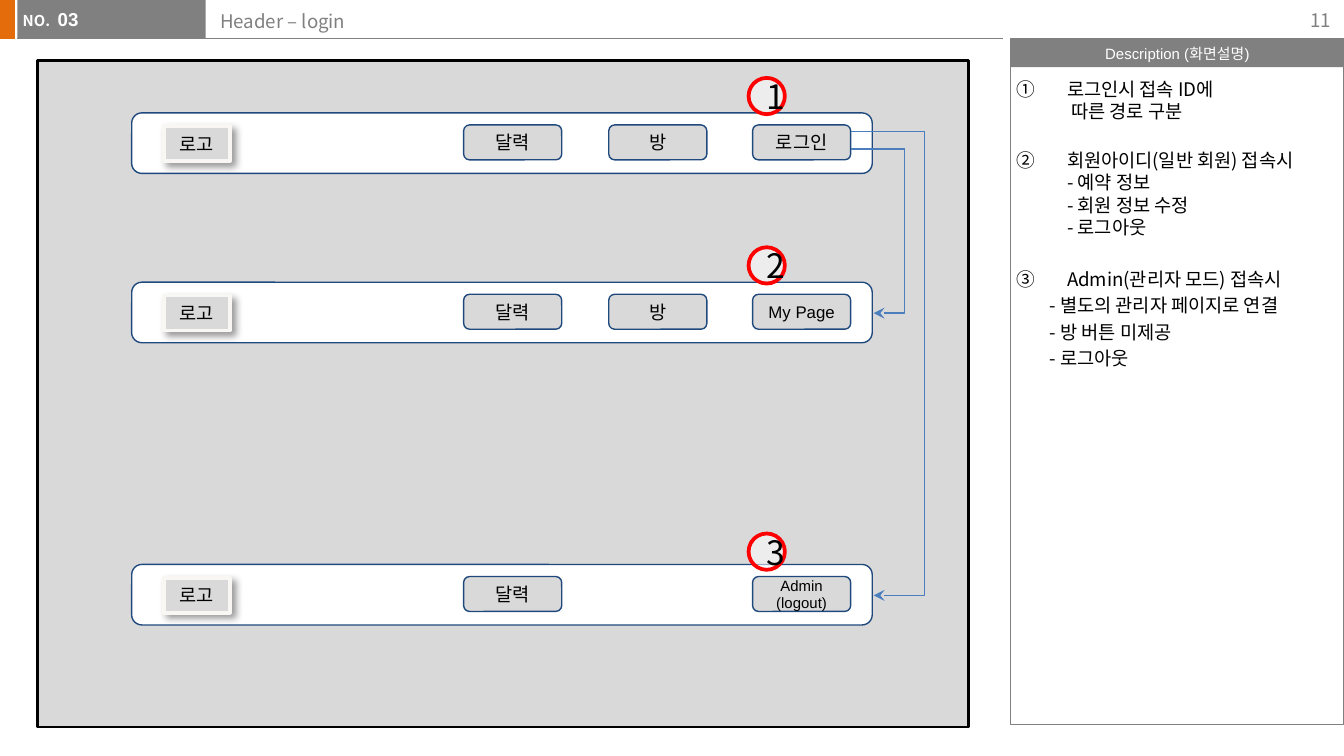
from lxml.etree import SubElement
from pptx import Presentation
from pptx.dml.color import RGBColor
from pptx.enum.shapes import MSO_CONNECTOR as CONNECTOR, MSO_SHAPE as SHAPE
from pptx.enum.text import MSO_ANCHOR as ANCHOR, PP_ALIGN as ALIGN
from pptx.oxml.ns import qn
from pptx.util import Inches, Pt

COLORS = {
    "accent": "E46C0A", "gray": "808080", "panel": "D9D9D9", "white": "FFFFFF",
    "black": "000000", "navy": "1F497D", "arrow": "4B7EBC", "red": "FF0000",
    "bevel": "F8F7F3",
}
SANS, KOREAN = "Arial", "Noto Sans CJK KR"


def color(name):
    """Return the named palette colour."""
    return RGBColor.from_string(COLORS[name])


def style_para(para, size, font=SANS, ink="black", bold=False, align=ALIGN.LEFT):
    """Set the alignment and font of a paragraph."""
    para.alignment = align
    para.font.size, para.font.name, para.font.bold = Pt(size), font, bold
    para.font.color.rgb = color(ink)
    defaults = para._p.pPr.find(qn("a:defRPr"))
    SubElement(defaults, qn("a:ea")).set("typeface", KOREAN)


def set_frame(frame, insets=(0.1, 0.05, 0.1, 0.05), anchor=ANCHOR.MIDDLE, wrap=True):
    """Set the insets, anchor and wrapping of a text frame."""
    (frame.margin_left, frame.margin_top,
     frame.margin_right, frame.margin_bottom) = map(Inches, insets)
    frame.vertical_anchor, frame.word_wrap = anchor, wrap


def write(box, text, size, font=SANS, ink="black", bold=False, align=ALIGN.CENTER, **frame):
    """Write one paragraph per line of text into a box."""
    set_frame(box.text_frame, **frame)
    box.text_frame.text = text
    for para in box.text_frame.paragraphs:
        style_para(para, size, font, ink, bold, align)


def add_text(page, area, text, size, **style):
    """Add a text box with uniform text."""
    box = page.shapes.add_textbox(*map(Inches, area))
    write(box, text, size, **style)


def add_box(page, area, fill=None, line=None, width=0.75, kind=SHAPE.RECTANGLE):
    """Add a preset shape without shadow."""
    box = page.shapes.add_shape(kind, *map(Inches, area))
    box.shadow.inherit = False
    if fill:
        box.fill.solid()
        box.fill.fore_color.rgb = color(fill)
    else:
        box.fill.background()
    if line:
        box.line.color.rgb = color(line)
        box.line.width = Pt(width)
    else:
        box.line.fill.background()
    return box


def add_line(page, start, end, ink="arrow", width=0.75, kind=CONNECTOR.STRAIGHT):
    """Add a connector without shadow."""
    line = page.shapes.add_connector(kind, *map(Inches, (*start, *end)))
    line.line.color.rgb = color(ink)
    line.line.width = Pt(width)
    SubElement(line._element.spPr, qn("a:effectLst"))
    return line


def add_route(page, button_right, bar_right, turn, top, bottom):
    """Lead from a button out to the turn, down and back to a bar."""
    drop, back = bottom - top, turn - bar_right
    middle_x, middle_y = (turn + bar_right) / 2, (top + bottom) / 2
    arrow = add_line(page, (middle_x - drop / 2, middle_y - back / 2),
                     (middle_x + drop / 2, middle_y + back / 2), kind=CONNECTOR.ELBOW)
    properties = arrow._element.spPr
    properties.find(qn("a:xfrm")).set("rot", "5400000")
    properties.find(qn("a:prstGeom")).set("prst", "bentConnector2")
    SubElement(properties.find(qn("a:ln")), qn("a:tailEnd")).set("type", "stealth")
    add_line(page, (turn, top), (button_right, top))


def add_logo(page, area):
    """Add the raised logo button."""
    logo = add_box(page, area, "panel", "bevel", 2)
    write(logo, "로고", 10, font=KOREAN)
    effects = logo._element.spPr.find(qn("a:effectLst"))
    shadow = SubElement(effects, qn("a:outerShdw"), blurRad=str(Pt(4)), dist=str(Pt(3)),
                        dir="2700000", algn="tl", rotWithShape="0")
    shade = SubElement(shadow, qn("a:srgbClr"), val=COLORS["black"])
    SubElement(shade, qn("a:alpha"), val="40000")


def add_menu_bar(page, left, top, buttons):
    """Add a menu bar with its logo and its (offset, label, size) buttons."""
    add_box(page, (left, top, 5.51, 0.45), "white", "navy", kind=SHAPE.ROUNDED_RECTANGLE)
    for offset, label, size in buttons:
        button = add_box(page, (left + offset, top + 0.09, 0.73, 0.26), "panel", "navy",
                         kind=SHAPE.ROUNDED_RECTANGLE)
        write(button, label, size, insets=(0.1,) * 4)
    add_logo(page, (left + 0.24, top + 0.1, 0.49, 0.26))


def add_badge(page, left, top, number):
    """Add a numbered red ring."""
    badge = add_box(page, (left, top, 0.27, 0.27), "white", "red", 2, SHAPE.OVAL)
    tint = badge._element.spPr.find(qn("a:solidFill"))[0]
    SubElement(tint, qn("a:alpha"), val="55000")
    write(badge, str(number), 18, font=KOREAN)


def add_header(page, height):
    """Add the header strip with number, title and page number."""
    add_box(page, (-0.01, 0, 0.12, height), "accent")
    add_line(page, (0.13, height), (7.46, height), "gray", 0.5)
    add_box(page, (0.13, 0, 1.4, height), "gray")
    add_text(page, (0.07, 0.03, 0.41, 0.24), "NO.", 8, font=KOREAN, ink="white",
             bold=True, align=ALIGN.LEFT, wrap=False)
    add_text(page, (0.43, 0.01, 1.1, 0.31), "03", 10, ink="white", bold=True,
             align=ALIGN.LEFT, insets=(0, 0.05, 0, 0.05), anchor=ANCHOR.TOP)
    title = page.shapes.title
    title.left, title.top, title.width, title.height = map(Inches, (1.54, 0.02, 5.91, 0.32))
    write(title, "Header – login", 10, font=KOREAN, ink="gray", align=ALIGN.LEFT,
          anchor=ANCHOR.TOP)
    add_text(page, (9.4, 0, 0.6, 0.3), "11", 10, font=KOREAN, ink="gray", align=ALIGN.RIGHT)


def add_description(page, left, top, width, height):
    """Add the description panel with its numbered notes."""
    heading = add_box(page, (left, top, width, 0.21), "gray")
    write(heading, "Description (화면설명)", 8, ink="white", wrap=False)
    add_box(page, (left, top, width, height), line="gray")
    notes = [
        ("로그인시 접속 ID에\n 따른 경로 구분", True, 0),
        ("회원아이디(일반 회원) 접속시\n- 예약 정보\n- 회원 정보 수정\n- 로그아웃", True, 14),
        ("Admin(관리자 모드) 접속시", True, 16),
        ("- 별도의 관리자 페이지로 연결", False, 2),
        ("- 방 버튼 미제공", False, 2),
        ("- 로그아웃", False, 2),
    ]
    box = page.shapes.add_textbox(*map(Inches, (left, top + 0.24, width, height - 0.22)))
    frame = box.text_frame
    set_frame(frame, (0.04, 0.05, 0, 0.05), ANCHOR.TOP)
    for index, (text, numbered, gap) in enumerate(notes):
        para = frame.add_paragraph() if index else frame.paragraphs[0]
        para.text = text
        para.line_spacing, para.space_before = Pt(12), Pt(gap)
        properties = para._p.get_or_add_pPr()
        properties.set("marL", str(Inches(0.38 if numbered else 0.25)))
        if numbered:
            properties.set("indent", str(Inches(-0.38)))
            SubElement(properties, qn("a:buFont"), typeface=KOREAN)
            start = sum(note[1] for note in notes[:index + 1])
            SubElement(properties, qn("a:buAutoNum"), type="circleNumDbPlain",
                       startAt=str(start))
        style_para(para, 10, KOREAN)


def add_screen(page, left, top, width, height):
    """Add the screen area with menu bars, routes and badges."""
    add_box(page, (left, top, width, height), "panel", "black", 1.5)
    calendar, room = (2.47, "달력", 10), (3.55, "방", 10)
    bars = [
        (0.39, [calendar, room, (4.62, "로그인", 10)]),
        (1.65, [calendar, room, (4.62, "My Page", 9)]),
        (3.75, [calendar, (4.62, "Admin\n(logout)", 8)]),
    ]
    for offset, buttons in bars:
        add_menu_bar(page, left + 0.7, top + offset, buttons)
    for turn, start, end in [(6.45, 0.66, 1.88), (6.6, 0.53, 3.98)]:
        add_route(page, left + 6.05, left + 6.22, left + turn, top + start, top + end)
    for number, offset in enumerate((0.13, 1.39, 3.52), 1):
        add_badge(page, left + 5.29, top + offset, number)


def main():
    """Build the deck and save it."""
    deck = Presentation()
    deck.slide_width = Inches(10)
    deck.slide_height = deck.slide_width * 9 // 16
    page = deck.slides.add_slide(deck.slide_layouts[5])
    add_header(page, 0.29)
    add_description(page, 7.52, 0.29, 2.48, 5.1)
    add_screen(page, 0.28, 0.45, 6.93, 4.96)
    deck.save("out.pptx")


if __name__ == "__main__":
    main()
